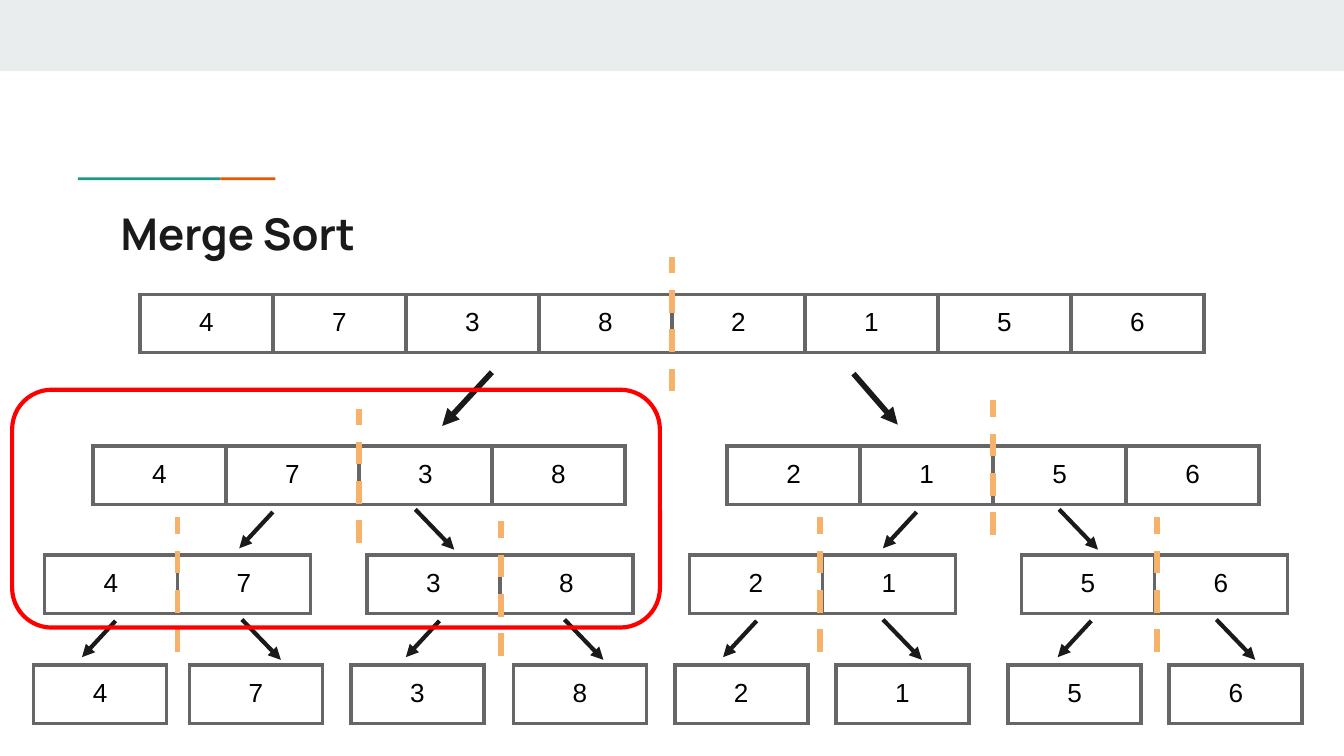
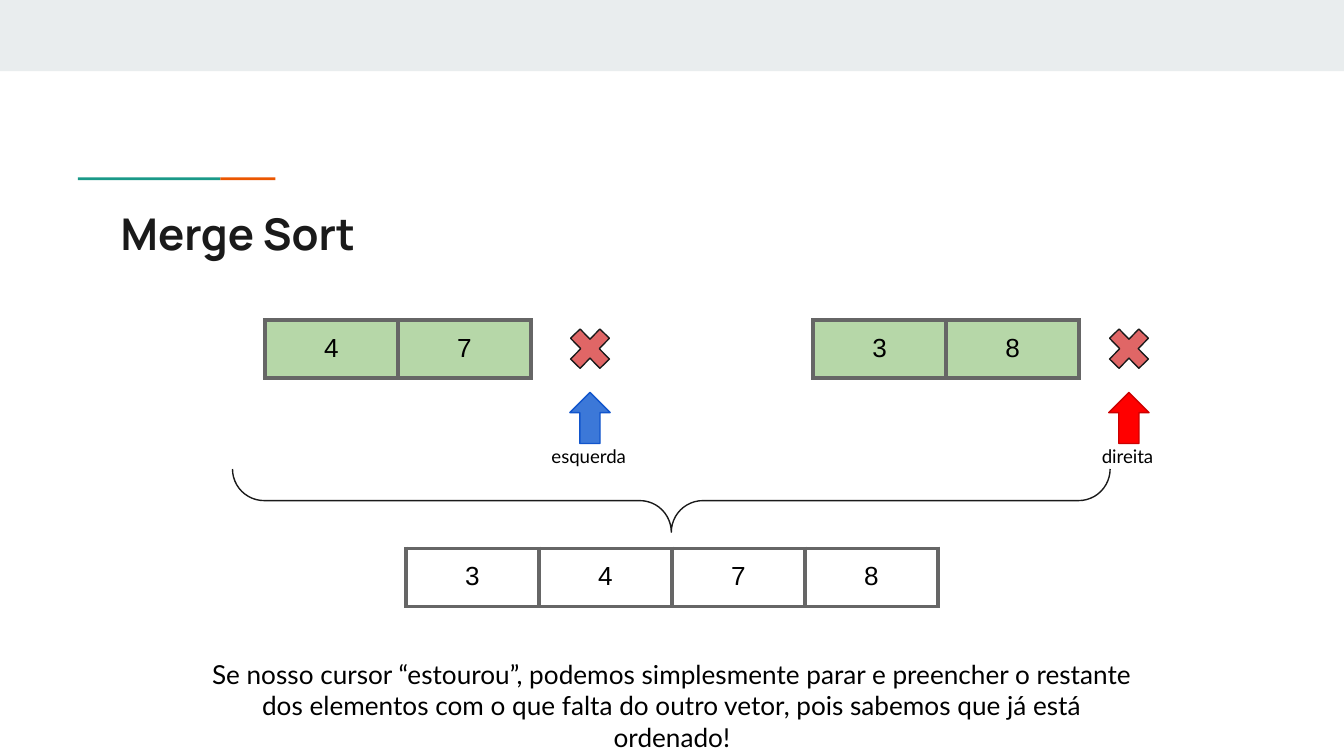
import lxml.etree
import pptx
import pptx.dml.color
import pptx.enum.dml
import pptx.enum.shapes
import pptx.enum.text
import pptx.oxml.ns
import pptx.util

Inches = pptx.util.Inches
Pt = pptx.util.Pt
SHAPES = pptx.enum.shapes.MSO_SHAPE
CENTER = pptx.enum.text.PP_ALIGN.CENTER

INK = "1A1A1A"
BLACK = "000000"
BAND = "E9EDEE"
TEAL = "1A9988"
ORANGE = "EB5600"
GRID = "666666"
SPLIT = "F6B26B"
RED = "FF0000"
GREEN = "B6D7A8"
CROSS = "E06666"

PAGE_WIDTH = 10
PAGE_HEIGHT = PAGE_WIDTH * 9 / 16
CELL_WIDTH, CELL_HEIGHT = 0.99, 0.42

# Each level of the tree: top, then the left edge and digits of every vector
LEVELS = [
    (2.19, [(1.04, "47382156")]),
    (3.32, [(0.69, "4738"), (5.41, "2156")]),
    (4.13, [(0.33, "47"), (2.73, "38"), (5.13, "21"), (7.6, "56")]),
    (4.95, [(0.25, "4"), (1.41, "7"), (2.61, "3"), (3.82, "8"),
            (5.02, "2"), (6.22, "1"), (7.5, "5"), (8.7, "6")]),
]
# Dashed split marks: x and top
SPLITS = [(5, 1.91), (2.67, 3.04), (7.39, 2.98),
          (1.32, 3.85), (3.73, 3.88), (6.1, 3.85), (8.61, 3.85)]
# Arrow families: line width, y of the start, (dx, dy), x of the starts
ARROWS = [
    (3, 2.77, (-0.37, 0.4), [3.66]),
    (3, 2.78, (0.33, 0.38), [6.35]),
    (2.25, 3.81, (-0.25, 0.27), [2.03, 6.82]),
    (2.25, 3.79, (0.29, 0.3), [3.09, 7.88]),
    (2.25, 4.62, (-0.25, 0.27), [0.86, 3.27, 5.63, 8.12]),
    (2.25, 4.61, (0.29, 0.3), [1.8, 4.2, 6.57, 9.05]),
]


def color(value):
    return pptx.dml.color.RGBColor.from_string(value)


def add_shape(shapes, kind, box, fill=None, line=None, width=0.75, rotation=0):
    shape = shapes.add_shape(kind, *map(Inches, box))
    shape.shadow.inherit = False
    shape.rotation = rotation
    if fill:
        shape.fill.solid()
        shape.fill.fore_color.rgb = color(fill)
    else:
        shape.fill.background()
    if line:
        shape.line.color.rgb = color(line)
        shape.line.width = Pt(width)
    else:
        shape.line.fill.background()
    return shape


def add_text(shapes, box, text, size, font="Lato", ink=BLACK, bold=False, align=None):
    frame = shapes.add_textbox(*map(Inches, box)).text_frame
    frame.word_wrap = True
    frame.margin_left = frame.margin_right = Inches(0.1)
    frame.margin_top = frame.margin_bottom = Inches(0.1)
    paragraph = frame.paragraphs[0]
    paragraph.text = text
    paragraph.alignment = align
    style_font(paragraph.font, size, font, ink, bold)


def style_font(font, size, name, ink, bold=False):
    font.size = Pt(size)
    font.name = name
    font.bold = bold
    font.color.rgb = color(ink)


def add_line(page, start, end, ink, width, dashed=False, arrow=False):
    line = page.shapes.add_connector(
        pptx.enum.shapes.MSO_CONNECTOR.STRAIGHT, *map(Inches, (*start, *end)))
    line.line.color.rgb = color(ink)
    line.line.width = Pt(width)
    if dashed:
        line.line.dash_style = pptx.enum.dml.MSO_LINE.DASH
    properties = line._element.spPr
    if arrow:
        outline = properties.find(pptx.oxml.ns.qn("a:ln"))
        lxml.etree.SubElement(outline, pptx.oxml.ns.qn("a:tailEnd"), type="triangle")
    lxml.etree.SubElement(properties, pptx.oxml.ns.qn("a:effectLst"))


def add_borders(cell):
    qn = pptx.oxml.ns.qn
    properties = cell._tc.get_or_add_tcPr()
    for side in ("lnL", "lnR", "lnT", "lnB"):
        border = lxml.etree.SubElement(properties, qn(f"a:{side}"), w=str(Pt(2.25)))
        solid = lxml.etree.SubElement(border, qn("a:solidFill"))
        lxml.etree.SubElement(solid, qn("a:srgbClr"), val=GRID)


def add_vector(page, left, top, digits, fill=None):
    """One-row table with a digit in each cell."""
    count = len(digits)
    table = page.shapes.add_table(
        1, count, Inches(left), Inches(top),
        Inches(CELL_WIDTH * count), Inches(CELL_HEIGHT)).table
    table.first_row = table.horz_banding = False
    for column, digit in enumerate(digits):
        table.columns[column].width = Inches(CELL_WIDTH)
        cell = table.cell(0, column)
        cell.margin_left = cell.margin_right = Inches(0.1)
        cell.margin_top = cell.margin_bottom = Inches(0.1)
        add_borders(cell)
        if fill:
            cell.fill.solid()
            cell.fill.fore_color.rgb = color(fill)
        else:
            cell.fill.background()
        paragraph = cell.text_frame.paragraphs[0]
        paragraph.text = digit
        paragraph.alignment = CENTER
        style_font(paragraph.font, 14, "Arial", BLACK)


def add_page(deck, title):
    """Blank page with the top band, accent rule and title."""
    page = deck.slides.add_slide(deck.slide_layouts[6])
    add_shape(page.shapes, SHAPES.RECTANGLE, (0, 0, PAGE_WIDTH, 0.53), BAND)
    add_shape(page.shapes, SHAPES.RECTANGLE, (0.58, 1.32, 1.06, 0.02), TEAL)
    add_shape(page.shapes, SHAPES.RECTANGLE, (1.64, 1.32, 0.41, 0.02), ORANGE)
    add_text(page.shapes, (0.8, 1.44, 8.41, 0.59), title, 23.4, "Manrope", INK, bold=True)
    return page


def add_cursor(page, center, top, label, label_width, fill, line):
    """Cross past the end of a vector, with a labelled arrow below it."""
    add_shape(page.shapes, SHAPES.MATH_MULTIPLY,
              (center - 0.21, top, 0.42, 0.43), CROSS, INK)
    cursor = page.shapes.add_group_shape()
    add_shape(cursor.shapes, SHAPES.RIGHT_ARROW,
              (center - 0.19, top + 0.58, 0.38, 0.3), fill, line, rotation=270)
    add_text(cursor.shapes, (center - label_width / 2, top + 0.85, label_width, 0.37),
             label, 10)


def build_division(deck):
    page = add_page(deck, "Merge Sort")
    # Vectors, halved level by level
    for top, vectors in LEVELS:
        for left, digits in vectors:
            add_vector(page, left, top, digits)
    # Arrows to the halves
    for width, y, (dx, dy), starts in ARROWS:
        for x in starts:
            add_line(page, (x, y), (x + dx, y + dy), INK, width, arrow=True)
    # Split marks
    for x, top in SPLITS:
        add_line(page, (x, top + 1), (x, top), SPLIT, 3, dashed=True)
    # Highlighted branch
    add_shape(page.shapes, SHAPES.ROUNDED_RECTANGLE,
              (0.09, 2.9, 4.82, 1.77), line=RED, width=2.25)


def build_merge(deck):
    page = add_page(deck, "Merge Sort")
    # Halves and the merged vector
    add_vector(page, 1.97, 2.38, "47", GREEN)
    add_vector(page, 6.05, 2.38, "38", GREEN)
    add_vector(page, 3.02, 4.08, "3478")
    brace = add_shape(page.shapes, SHAPES.RIGHT_BRACE,
                      (4.76, 0.46, 0.47, 6.53), line=INK, rotation=90)
    brace.adjustments[0] = 0.5
    # Cursors past the end
    add_cursor(page, 4.39, 2.38, "esquerda", 0.77, "3C78D8", "1155CC")
    add_cursor(page, 8.4, 2.38, "direita", 0.6, RED, "CC0000")
    # Explanation
    add_text(page.shapes, (1.4, 4.8, 7.2, 0.67),
             "Se nosso cursor “estourou”, podemos simplesmente parar e preencher o "
             "restante dos elementos com o que falta do outro vetor, pois sabemos que "
             "já está ordenado!", 14, align=CENTER)


def main():
    deck = pptx.Presentation()
    deck.slide_width, deck.slide_height = Inches(PAGE_WIDTH), Inches(PAGE_HEIGHT)
    build_division(deck)
    build_merge(deck)
    deck.save("out.pptx")


if __name__ == "__main__":
    main()
